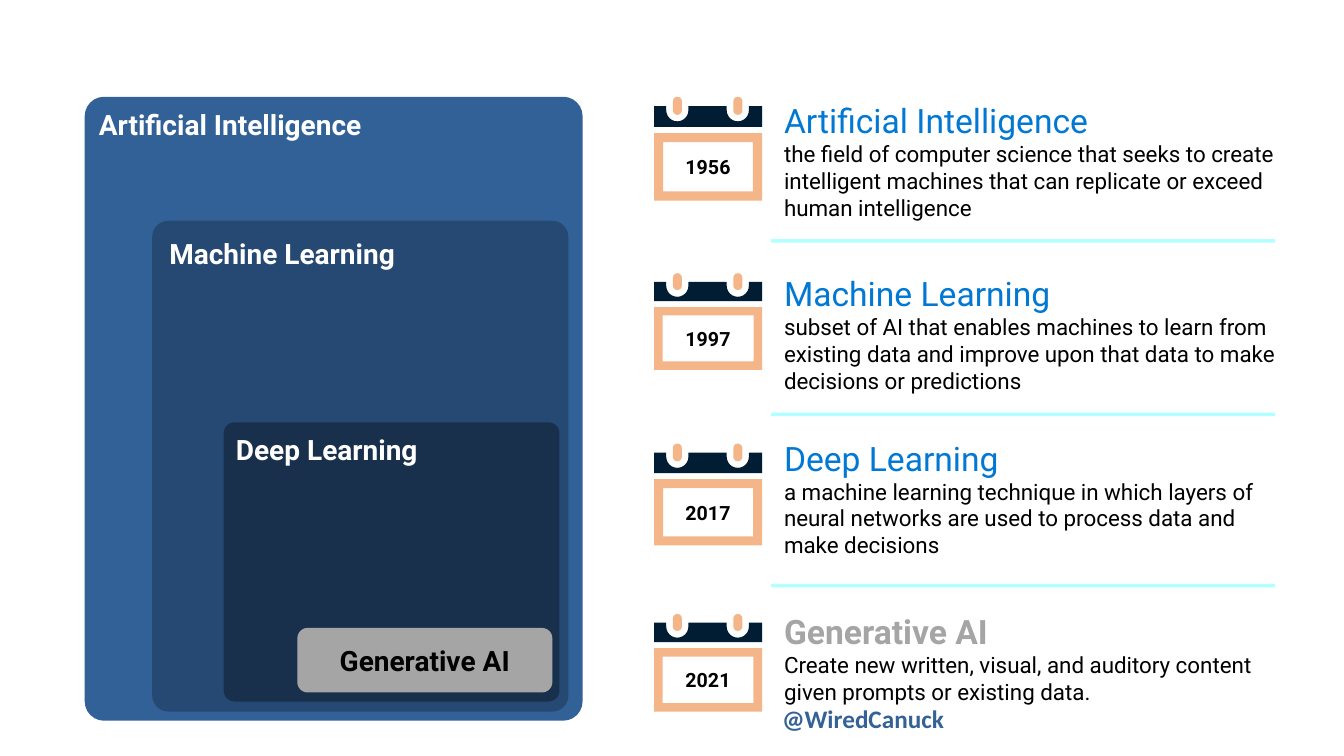
import math
from lxml import etree
from pptx import Presentation
from pptx import util as u
from pptx.dml.color import RGBColor
from pptx.enum import shapes, text
from pptx.oxml.ns import qn

THEME = {
    "ai": "326198", "ml": "254972", "dl": "19304C", "gen": "A5A5A5",
    "white": "FFFFFF", "black": "000000", "title": "0078D4", "handle": "346296",
    "band": "001D33", "orange": "ED7D31", "rule": "66FFFF",
    "label_font": dict(name="Roboto", size=u.Pt(20), bold=True),
    "year_font": dict(name="Roboto", size=u.Pt(14), bold=True),
    "title_font": dict(name="Roboto", size=u.Pt(24), bold=False),
    "strong_font": dict(name="Roboto", size=u.Pt(24), bold=True),
    "body_font": dict(name="Roboto", size=u.Pt(16), bold=False),
    "handle_font": dict(name="Calibri", size=u.Pt(18), bold=True),
}

prs = Presentation()
prs.slide_width, prs.slide_height = u.Inches(13.333), u.Inches(7.5)
s = prs.slides.add_slide(prs.slide_layouts[6])

# Grid: 80 columns by 45 rows
COL, ROW = prs.slide_width / 80, prs.slide_height / 45


def paint(sp, colour, alpha=100):
    """Fill a shape, or colour a connector, without outline or shadow."""
    if hasattr(sp, "fill"):
        sp.fill.solid()
        sp.fill.fore_color.rgb = RGBColor.from_string(THEME[colour])
        sp.line.fill.background()
        sp.shadow.inherit = False
    else:
        sp.line.color.rgb = RGBColor.from_string(THEME[colour])
        etree.SubElement(sp._element.spPr, qn("a:effectLst"))
    if alpha < 100:
        clr = next(sp._element.spPr.iter(qn("a:srgbClr")))
        etree.SubElement(clr, qn("a:alpha")).set("val", str(alpha * 1000))


def write(sp, paragraphs, margin=None, **frame):
    """Write (text, font, colour) paragraphs into a shape."""
    tf = sp.text_frame
    tf.word_wrap = True
    if margin is not None:
        frame |= {f"margin_{side}": margin for side in ("left", "top", "right", "bottom")}
    for key, value in frame.items():
        setattr(tf, key, value)
    for i, (words, font, colour) in enumerate(paragraphs):
        p = tf.add_paragraph() if i else tf.paragraphs[0]
        r = p.add_run()
        r.text = words
        for key, value in THEME[font].items():
            setattr(r.font, key, value)
        r.font.color.rgb = RGBColor.from_string(THEME[colour])


# Handle at the foot
sp = s.shapes.add_textbox(int(45.96 * COL), int(41.58 * ROW), int(14.94 * COL), int(2.4 * ROW))
write(sp, [("@WiredCanuck", "handle_font", "handle")])

# Nested fields: name, fill, text colour, corner, box, label left, top, width
fields = [
    ("Artificial Intelligence", "ai", "white", 0.039, (5.04, 5.76, 29.64, 37.14), (5.88, 6.42, 27.72)),
    ("Machine Learning", "ml", "white", 0.039, (9.06, 13.14, 24.78, 29.22), (10.08, 14.1, 19.98)),
    ("Deep Learning", "dl", "white", 0.039, (13.32, 25.14, 19.98, 16.62), (14.04, 25.74, 12.42)),
    ("Generative AI", "gen", "black", 0.159, (17.7, 37.38, 15.18, 3.84), (20.22, 38.28, 11.82)),
]
for name, fill, colour, corner, (x, y, w, h), (lx, ly, lw) in fields:
    sp = s.shapes.add_shape(shapes.MSO_SHAPE.ROUNDED_RECTANGLE,
                            int(x * COL), int(y * ROW), int(w * COL), int(h * ROW))
    sp.adjustments[0] = corner
    paint(sp, fill)
    sp = s.shapes.add_textbox(int(lx * COL), int(ly * ROW), int(lw * COL), int(2.04 * ROW))
    write(sp, [(name, "label_font", colour)], margin=0)

# Timeline: year, calendar top and height, text top, title style, description
CAL_X, CAL_W = 38.94, 6.42
RING_X, RING_W, NOTCH = (40.32, 43.92), 0.54, 0.66
milestones = [
    ("1956", 5.76, 6.18, 5.64, "title_font", "title",
     "the field of computer science that seeks to create intelligent machines "
     "that can replicate or exceed human intelligence"),
    ("1997", 16.26, 5.76, 15.96, "title_font", "title",
     "subset of AI that enables machines to learn from existing data and "
     "improve upon that data to make decisions or predictions"),
    ("2017", 26.4, 6.06, 25.74, "title_font", "title",
     "a machine learning technique in which layers of neural networks are used "
     "to process data and make decisions"),
    ("2021", 36.54, 5.82, 36.06, "strong_font", "gen",
     "Create new written, visual, and auditory content given prompts or existing data."),
]
for (name, *_), (year, top, high, text_top, font, colour, words) in zip(fields, milestones):
    # Calendar rings
    for ring in RING_X:
        sp = s.shapes.add_shape(shapes.MSO_SHAPE.ROUNDED_RECTANGLE,
                                int((ring - RING_W / 2) * COL), int(top * ROW),
                                int(RING_W * COL), int(0.175 * high * ROW))
        sp.adjustments[0] = 0.5
        paint(sp, "orange", 57)

    # Calendar page with the year
    sp = s.shapes.add_shape(shapes.MSO_SHAPE.FRAME, int(CAL_X * COL), int((top + 0.35 * high) * ROW),
                            int(CAL_W * COL), int(0.65 * high * ROW))
    sp.adjustments[0] = 0.135
    paint(sp, "orange", 57)
    write(sp, [(year, "year_font", "black")], margin=0, vertical_anchor=text.MSO_ANCHOR.MIDDLE)
    sp.text_frame.paragraphs[0].alignment = text.PP_ALIGN.CENTER

    # Calendar band with a round notch under each ring
    band_top, band_bottom = top + 0.09 * high, top + 0.29 * high
    outline = [(CAL_X, band_top)]
    for ring in RING_X:
        outline.append((ring - NOTCH, band_top))
        for step in range(13):
            angle = math.pi * step / 12
            outline.append((ring - NOTCH * math.cos(angle),
                            top + 0.13 * high + NOTCH * math.sin(angle)))
        outline.append((ring + NOTCH, band_top))
    outline += [(CAL_X + CAL_W, band_top), (CAL_X + CAL_W, band_bottom), (CAL_X, band_bottom)]
    points = [(x * COL, y * ROW) for x, y in outline]
    fb = s.shapes.build_freeform(*points[0])
    fb.add_line_segments(points[1:], close=True)
    paint(fb.convert_to_shape(), "band")

    # Title and description
    sp = s.shapes.add_textbox(int(46.08 * COL), int(text_top * ROW), int(30.96 * COL), int(5.28 * ROW))
    write(sp, [(name, font, colour), (words, "body_font", "black")])
    sp.text_frame.paragraphs[1].space_after = u.Pt(6)

# Rules between milestones
for y in (14.34, 24.66, 34.86):
    sp = s.shapes.add_connector(shapes.MSO_CONNECTOR.STRAIGHT,
                                int(45.9 * COL), int(y * ROW), int(75.9 * COL), int(y * ROW))
    sp.line.width = u.Pt(2.5)
    paint(sp, "rule", 50)

prs.save("out.pptx")
